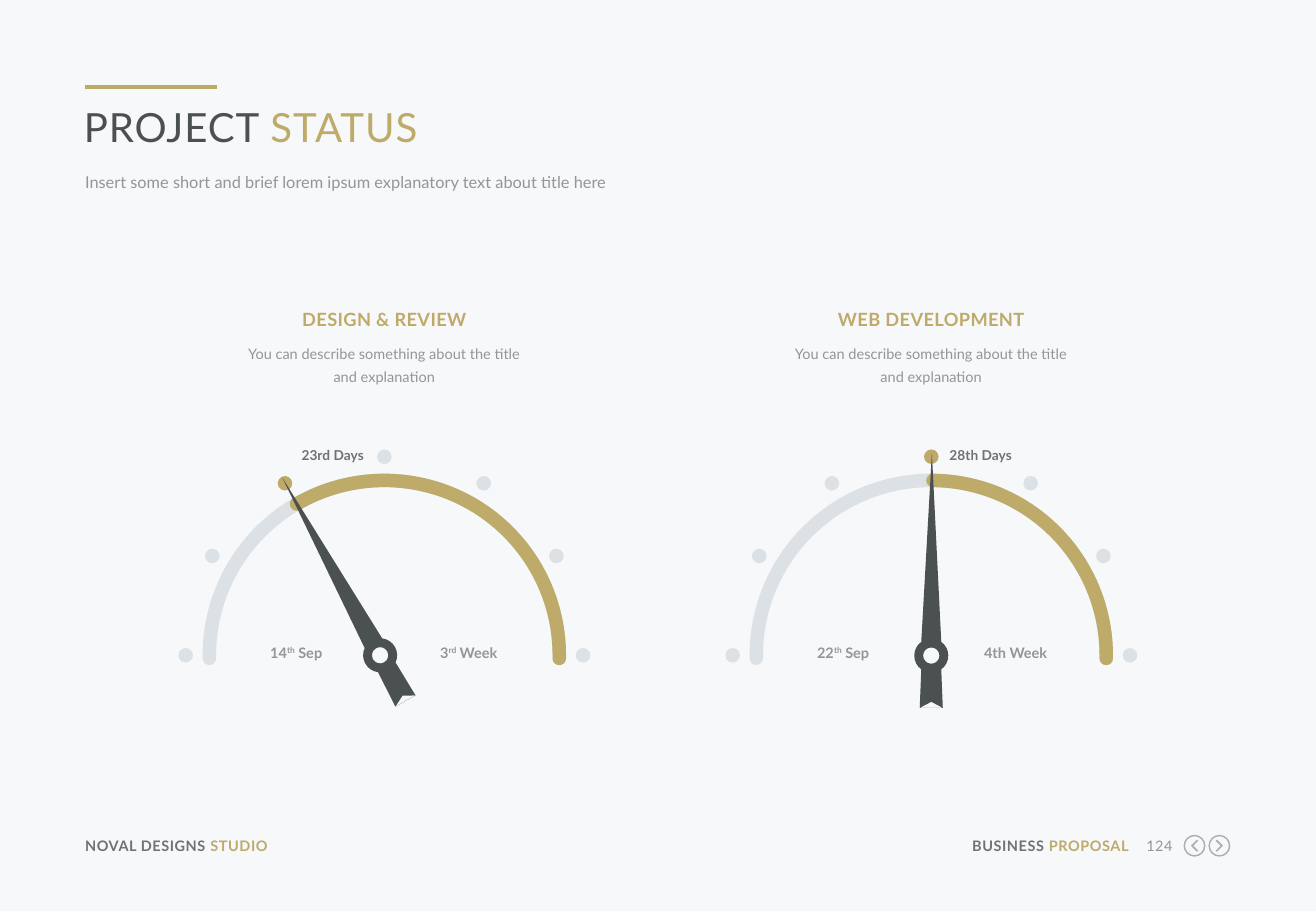
import math

import pptx
import pptx.dml.color
import pptx.enum.shapes
import pptx.enum.text
import pptx.oxml.ns
import pptx.util
from lxml import etree

COLOURS = {
    "paper": "F6F8FA", "gold": "BEAA69", "dark": "4B5050", "label": "6E7378",
    "muted": "91969B", "icon": "AAAFB4", "track": "DCE1E6",
}
FORMATS = {
    "title": {"size": 23.8, "bold": False, "spacing": 60},
    "subtitle": {"size": 9.7, "bold": False},
    "heading": {"size": 10.8, "bold": True, "spacing": 24},
    "body": {"size": 8.6, "bold": False},
    "footer": {"size": 8.6, "bold": True, "spacing": 30},
    "page": {"size": 8.6, "bold": False, "spacing": 30},
    "label": {"size": 8.6, "bold": True},
    "days": {"size": 8.1, "bold": True},
}
ALIGN = pptx.enum.text.PP_ALIGN
SHAPE = pptx.enum.shapes.MSO_SHAPE
QN = pptx.oxml.ns.qn
DESCRIPTION = "You can describe something about the title and explanation"
GAUGES = [
    {"centre": 31.63, "title": "DESIGN & REVIEW", "start": 239.9, "active": 2,
     "begin": [("14", "muted"), ("th", "muted", 30), (" Sep", "muted")],
     "end": [("3", "muted"), ("rd", "muted", 30), (" Week", "muted")],
     "days": "23rd Days", "days_left": -7.68, "days_align": ALIGN.RIGHT,
     "needle": (-4.75, 38.03), "rotation": 331},
    {"centre": 76.64, "title": "WEB DEVELOPMENT", "start": 270.56, "active": 3,
     "begin": [("22", "muted"), ("th", "muted", 30), (" Sep", "muted")],
     "end": [("4th Week", "muted")],
     "days": "28th Days", "days_left": 1.5, "days_align": ALIGN.LEFT,
     "needle": (-1.4, 37.28), "rotation": 0},
]
HUB_ROW = 53.95


def curve(x, y, radius, start=0, stop=360, pieces=4):
    turn = math.radians((stop - start) / pieces)
    reach = 4 / 3 * math.tan(turn / 4)
    segments = [[(x + radius * math.cos(math.radians(start)),
                  y + radius * math.sin(math.radians(start)))]]
    for index in range(pieces):
        a = math.radians(start) + index * turn
        b = a + turn
        unit = [(math.cos(a) - reach * math.sin(a), math.sin(a) + reach * math.cos(a)),
                (math.cos(b) + reach * math.sin(b), math.sin(b) - reach * math.cos(b)),
                (math.cos(b), math.sin(b))]
        segments.append([(x + radius * dx, y + radius * dy) for dx, dy in unit])
    return segments


def corners(*points):
    return [[point] for point in points]


class StatusSlide:
    """Draws elements on a square grid of 75 rows, in the deck's style."""

    def __init__(self, presentation):
        self.cell = presentation.slide_height / 75
        self.slide = presentation.slides.add_slide(presentation.slide_layouts[6])
        self.shapes = self.slide.shapes
        self.paint(self.slide.background.fill, "paper")

    def grid(self, *lengths):
        return [round(length * self.cell) for length in lengths]

    def colour(self, name):
        return pptx.dml.color.RGBColor.from_string(COLOURS[name])

    def paint(self, fill, name):
        fill.solid()
        fill.fore_color.rgb = self.colour(name)

    def text(self, box, style, runs, align=ALIGN.LEFT, line_spacing=None):
        frame = self.shapes.add_textbox(*self.grid(*box)).text_frame
        frame.word_wrap = True
        for side in ("left", "top", "right", "bottom"):
            setattr(frame, f"margin_{side}", 0)
        paragraph = frame.paragraphs[0]
        paragraph.alignment = align
        paragraph.line_spacing = line_spacing
        chosen = FORMATS[style]
        values = {"name": "Lato", "size": pptx.util.Pt(chosen["size"]), "bold": chosen["bold"]}
        for words, colour, *baseline in runs:
            run = paragraph.add_run()
            run.text = words
            for name, value in values.items():
                setattr(run.font, name, value)
            run.font.color.rgb = self.colour(colour)
            properties = run._r.get_or_add_rPr()
            if "spacing" in chosen:
                properties.set("spc", str(chosen["spacing"]))
            if baseline:
                properties.set("baseline", str(baseline[0] * 1000))

    def line(self, x1, y1, x2, y2, colour, width):
        connector = self.shapes.add_connector(
            pptx.enum.shapes.MSO_CONNECTOR.STRAIGHT, *self.grid(x1, y1, x2, y2))
        connector.line.color.rgb = self.colour(colour)
        connector.line.width = pptx.util.Pt(width)
        etree.SubElement(connector._element.spPr, QN("a:effectLst"))

    def circle(self, x, y, diameter, colour):
        shape = self.shapes.add_shape(SHAPE.OVAL, *self.grid(
            x - diameter / 2, y - diameter / 2, diameter, diameter))
        shape.shadow.inherit = False
        shape.line.fill.background()
        self.paint(shape.fill, colour)

    def arc(self, x, y, diameter, start, stop, colour):
        shape = self.shapes.add_shape(SHAPE.ARC, *self.grid(
            x - diameter / 2, y - diameter / 2, diameter, diameter))
        shape.shadow.inherit = False
        shape.fill.background()
        for index, angle in enumerate((start, stop)):
            shape.adjustments[index] = angle * 0.6
        shape.line.color.rgb = self.colour(colour)
        shape.line.width = pptx.util.Pt(8)
        shape._element.spPr.find(QN("a:ln")).set("cap", "rnd")

    def outline(self, x, y, contours, colour, rotation=0):
        builder = self.shapes.build_freeform(*self.grid(*contours[0][0][0]))
        for index, (first, *segments) in enumerate(contours):
            if index:
                builder.move_to(*self.grid(*first[0]))
            builder.add_line_segments(
                [self.grid(*point) for segment in segments for point in segment], close=True)
        shape = builder.convert_to_shape(*self.grid(x, y))
        steps = iter(list(shape._element.iter(QN("a:lnTo"))))
        for segment in (segment for contour in contours for segment in contour[1:]):
            first, *others = [next(steps) for point in segment]
            if others:
                first.tag = QN("a:cubicBezTo")
            for other in others:
                first.append(other[0])
                other.getparent().remove(other)
        shape.shadow.inherit = False
        shape.line.fill.background()
        self.paint(shape.fill, colour)
        shape.rotation = rotation

    def arrow_button(self, x, y, direction):
        chevron = [(-0.3, -0.4), (0.1, 0), (-0.3, 0.4), (-0.2, 0.5), (0.3, 0), (-0.2, -0.5)]
        self.outline(x, y, [curve(0, 0, 0.9), curve(0, 0, 0.78, 360, 0),
                            corners(*[(direction * dx, dy) for dx, dy in chevron])], "icon")

    def needle(self, x, y, rotation):
        hub = (1.4, 16.7)
        tail = corners((2.35, 21), (1.4, 20.5), (0.45, 21))
        body = [*corners((1.45, 0)), *curve(*hub, 1.4, -54, 54, 2), *tail,
                *curve(*hub, 1.4, 126, 234, 2)]
        self.outline(x, y, [body, curve(*hub, 0.67, 360, 0), [tail[0], tail[-1]]],
                     "dark", rotation)

    def gauge(self, centre, title, start, active, begin, end, days,
              days_left, days_align, needle, rotation):
        self.text((centre - 11.45, 25.4, 22.9, 1.8), "heading", [(title, "gold")], ALIGN.CENTER)
        self.text((centre - 11.45, 28, 22.9, 3.8), "body", [(DESCRIPTION, "muted")],
                  ALIGN.CENTER, 1.3)
        self.arc(centre, HUB_ROW, 28.8, 179.04, 1.06, "track")
        self.arc(centre, HUB_ROW, 28.8, start, 1, "gold")
        for index in range(7):
            angle = math.radians(180 + 30 * index)
            self.circle(centre + 16.35 * math.cos(angle), HUB_ROW + 16.35 * math.sin(angle),
                        1.2, "gold" if index == active else "track")
        for offset, runs in ((-11.35, begin), (2.85, end)):
            self.text((centre + offset, 53, 8.2, 1.5), "label", runs, ALIGN.CENTER)
        self.text((centre + days_left, 36.8, 6, 1.4), "days", [(days, "label")], days_align)
        self.needle(centre + needle[0], needle[1], rotation)


def main():
    presentation = pptx.Presentation()
    presentation.slide_width = pptx.util.Inches(10.83)
    presentation.slide_height = pptx.util.Inches(7.5)
    slide = StatusSlide(presentation)
    slide.line(7, 7.17, 17.9, 7.17, "gold", 2.25)
    slide.text((6.9, 8.4, 94.2, 4.1), "title", [("PROJECT ", "dark"), ("STATUS", "gold")])
    slide.text((7, 14, 94.2, 2.1), "subtitle", [
        ("Insert some short and brief lorem ipsum explanatory text about title here", "muted")],
        line_spacing=pptx.util.Pt(13))
    for gauge in GAUGES:
        slide.gauge(**gauge)
    slide.text((7, 68.9, 21.1, 1.5), "footer", [("NOVAL DESIGNS ", "label"), ("STUDIO", "gold")])
    slide.text((79.2, 68.9, 13.7, 1.5), "footer",
               [("BUSINESS ", "label"), ("PROPOSAL", "gold")], ALIGN.RIGHT)
    slide.text((94, 68.9, 2.5, 1.5), "page", [("124", "muted")], ALIGN.RIGHT)
    for x, direction in ((98.3, -1), (100.35, 1)):
        slide.arrow_button(x, 69.63, direction)
    presentation.save("out.pptx")


if __name__ == "__main__":
    main()
